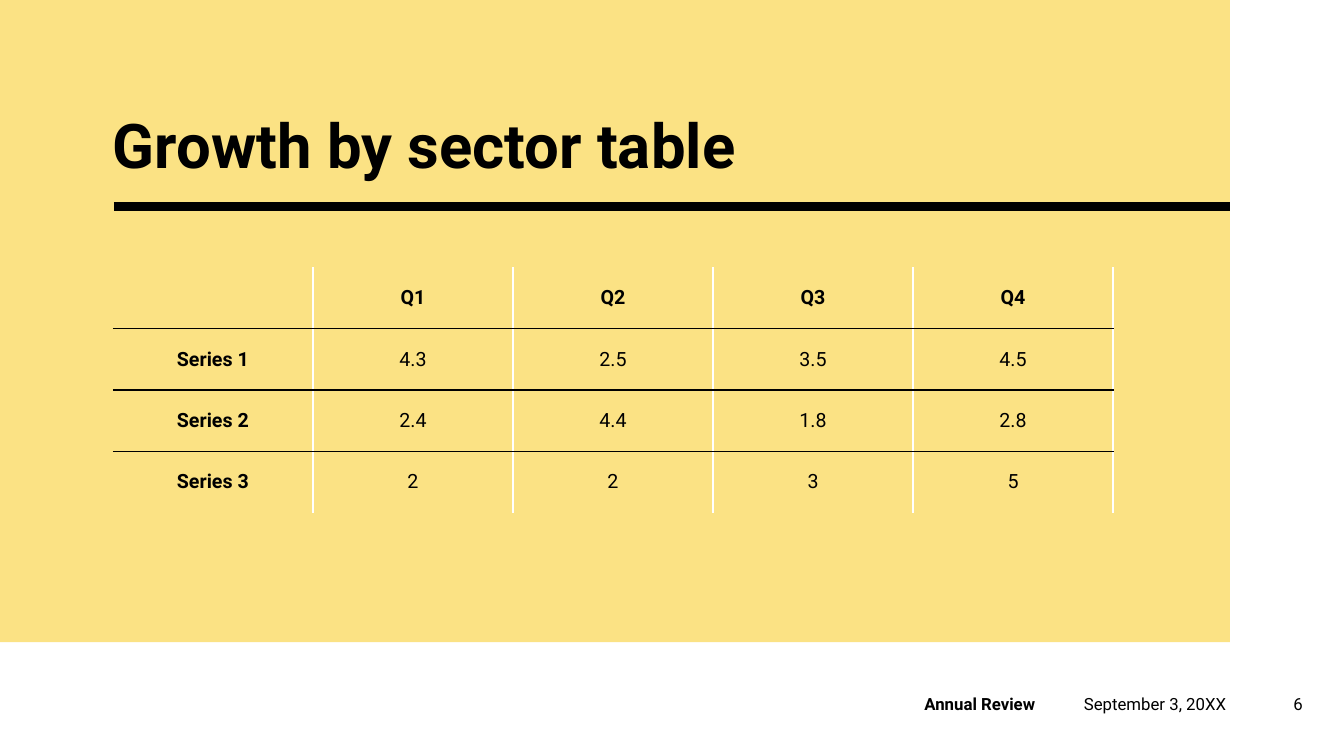
from lxml import etree
from pptx import Presentation
from pptx.dml.color import RGBColor
from pptx.enum.shapes import MSO_CONNECTOR, MSO_SHAPE
from pptx.enum.text import MSO_ANCHOR, MSO_AUTO_SIZE, PP_ALIGN
from pptx.oxml.ns import qn
from pptx.util import Inches, Pt

BLACK = RGBColor(0x00, 0x00, 0x00)
WHITE = RGBColor(0xFF, 0xFF, 0xFF)
YELLOW = RGBColor(0xFB, 0xE2, 0x84)
FONT = "Roboto"
LEFT, CENTER, RIGHT = PP_ALIGN.LEFT, PP_ALIGN.CENTER, PP_ALIGN.RIGHT
TOP, MIDDLE, BOTTOM = MSO_ANCHOR.TOP, MSO_ANCHOR.MIDDLE, MSO_ANCHOR.BOTTOM
TITLE_ONLY = 5

GROWTH = [
    ["", "Q1", "Q2", "Q3", "Q4"],
    ["Series 1", "4.3", "2.5", "3.5", "4.5"],
    ["Series 2", "2.4", "4.4", "1.8", "2.8"],
    ["Series 3", "2", "2", "3", "5"],
]


def add_span(para, text, size, bold=False):
    span = para.add_run()
    span.text = text
    span.font.name = FONT
    span.font.size = Pt(size)
    span.font.bold = bold
    span.font.color.rgb = BLACK


def set_frame(frame, anchor, margin):
    frame.word_wrap = True
    frame.auto_size = MSO_AUTO_SIZE.NONE
    frame.vertical_anchor = anchor
    frame.margin_left = frame.margin_right = Inches(margin)
    frame.margin_top = frame.margin_bottom = Inches(margin / 2)


def add_backdrop(page, width, height, rule_left, rule_top):
    """Yellow panel from the top left corner, with a heavy rule to its right edge."""
    panel = page.shapes.add_shape(MSO_SHAPE.RECTANGLE, 0, 0, Inches(width), Inches(height))
    panel.shadow.inherit = False
    panel.fill.solid()
    panel.fill.fore_color.rgb = YELLOW
    panel.line.fill.background()

    rule = page.shapes.add_connector(
        MSO_CONNECTOR.STRAIGHT, Inches(rule_left), Inches(rule_top), Inches(width), Inches(rule_top))
    rule.line.color.rgb = BLACK
    rule.line.width = Pt(6)
    etree.SubElement(rule._element.spPr, qn("a:effectLst"))


def place_title(page, text, left, top, width, height):
    title = page.shapes.title
    page.shapes._spTree.append(title._element)  # bring in front of the panel
    title.left, title.top = Inches(left), Inches(top)
    title.width, title.height = Inches(width), Inches(height)
    set_frame(title.text_frame, BOTTOM, 0)
    para = title.text_frame.paragraphs[0]
    para.alignment = LEFT
    para.line_spacing = 0.9
    add_span(para, text, 44, True)


def add_border(cell, side, color):
    """Border of one point; a color of None hides that side."""
    line = etree.SubElement(cell._tc.get_or_add_tcPr(), qn(f"a:ln{side}"), w=str(Pt(1)))
    if color is None:
        etree.SubElement(line, qn("a:noFill"))
    else:
        fill = etree.SubElement(line, qn("a:solidFill"))
        etree.SubElement(fill, qn("a:srgbClr"), val=str(color))


def add_growth_table(page, left, top, width, height):
    row_count, column_count = len(GROWTH), len(GROWTH[0])
    table = page.shapes.add_table(
        row_count, column_count, Inches(left), Inches(top), Inches(width), Inches(height)).table
    table.horz_banding = False
    for row, values in enumerate(GROWTH):
        for column, value in enumerate(values):
            cell = table.cell(row, column)
            add_border(cell, "L", WHITE if column else None)
            add_border(cell, "R", WHITE)
            add_border(cell, "T", BLACK if row else None)
            add_border(cell, "B", BLACK if row < row_count - 1 else None)
            cell.fill.background()
            cell.vertical_anchor = MIDDLE
            if value:
                para = cell.text_frame.paragraphs[0]
                para.alignment = CENTER
                add_span(para, value, 14, row == 0 or column == 0)


def add_footer(page, top, height):
    parts = [
        ("Annual Review", 9.07, 1.6, LEFT, MIDDLE, 0.1, True),
        ("September 3, 20XX", 10.75, 1.67, LEFT, TOP, 0, False),
        ("6", 12.57, 0.45, RIGHT, MIDDLE, 0.1, False),
    ]
    for text, left, width, align, anchor, margin, bold in parts:
        box = page.shapes.add_textbox(Inches(left), Inches(top), Inches(width), Inches(height))
        set_frame(box.text_frame, anchor, margin)
        para = box.text_frame.paragraphs[0]
        para.alignment = align
        add_span(para, text, 12, bold)


def main():
    deck = Presentation()
    deck.slide_width, deck.slide_height = Inches(13.33), Inches(7.5)
    page = deck.slides.add_slide(deck.slide_layouts[TITLE_ONLY])
    add_backdrop(page, 12.2, 6.37, 1.13, 2.05)
    place_title(page, "Growth by sector table", 1.12, 1.09, 11.04, 0.71)
    add_growth_table(page, 1.12, 2.65, 9.92, 2.44)
    add_footer(page, 6.88, 0.2)
    deck.save("out.pptx")


if __name__ == "__main__":
    main()
